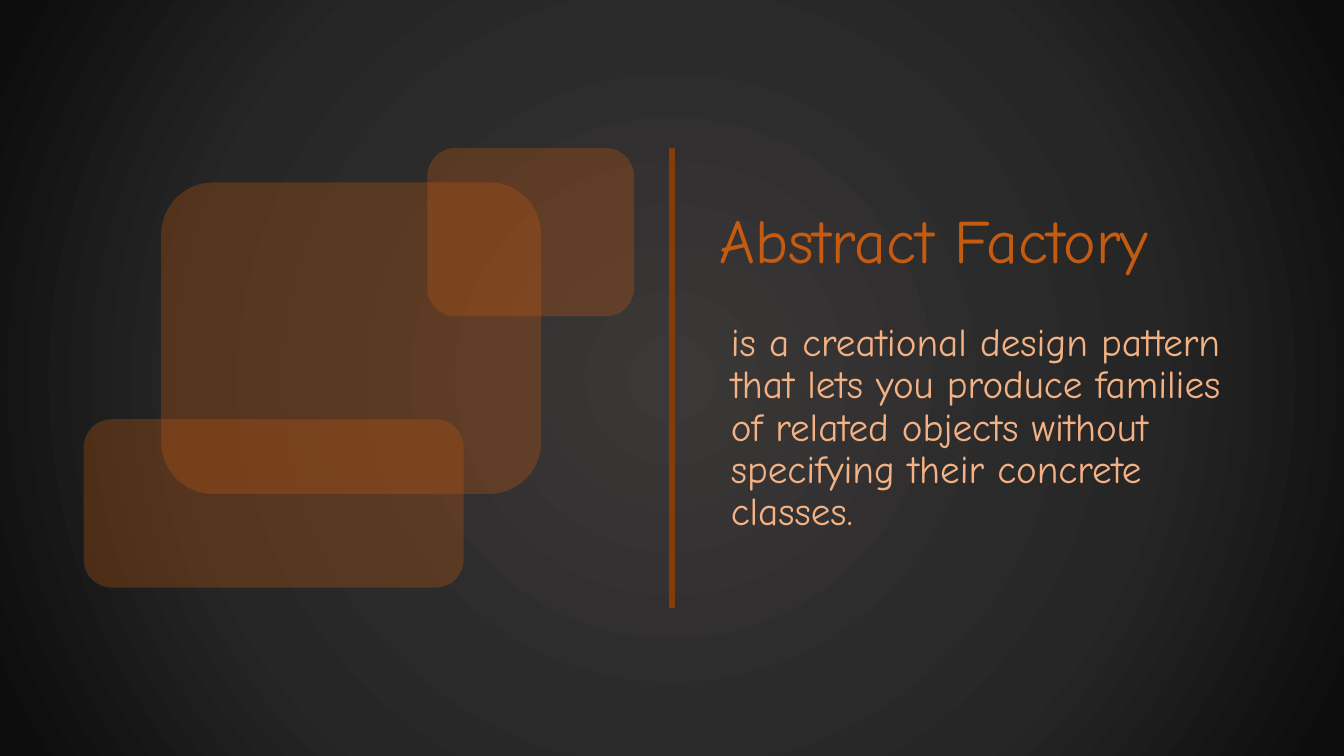
"""Build the Abstract Factory definition slide."""
from lxml.etree import SubElement
from pptx import Presentation
from pptx.dml.color import RGBColor
from pptx.enum.shapes import MSO_CONNECTOR as Connector, MSO_SHAPE as Shape
from pptx.enum.text import MSO_ANCHOR as Anchor, MSO_AUTO_SIZE as AutoSize, PP_ALIGN as Align
from pptx.oxml import parse_xml
from pptx.oxml.ns import nsdecls, qn
from pptx.util import Pt

COLORS = {
    "title": "C55A11",
    "body": "F4B183",
    "panel": "C55A11",
    "divider": "843C0B",
    "glow": "3B3838",
    "dark": "262626",
    "edge": "0D0D0D",
}
FONT = "Comic Neue"
SLIDE_SIZE = (960, 540)
TITLE = ("Abstract Factory", (506.9, 121.7, 386.6, 104.4), 44, "title", Anchor.MIDDLE)
BODY = (
    "is a creational design pattern that lets you produce families of related "
    "objects without specifying their concrete\u00a0classes.".replace("\u00a0", " "),
    (514.8, 226.8, 378, 216), 28, "body", Anchor.TOP,
)
PANELS = [
    (59.8, 299.5, 271.4, 120.2),
    (115.2, 130.3, 271.4, 222.5),
    (305.3, 105.8, 147.6, 120.2),
]
PANEL_OPACITY = 30
DIVIDER_TOP, DIVIDER_BOTTOM, DIVIDER_WIDTH = 105.8, 434.2, 4.5
BACKGROUND_STOPS = [(0, "glow"), (62, "dark"), (97, "edge"), (100, "edge")]


def color(name):
    return RGBColor.from_string(COLORS[name])


def paint_background(slide):
    fill = slide.background.fill
    fill.gradient()
    stops = "".join(
        f'<a:gs pos="{percent * 1000}"><a:srgbClr val="{COLORS[name]}"/></a:gs>'
        for percent, name in BACKGROUND_STOPS
    )
    gradient = parse_xml(
        f'<a:gradFill {nsdecls("a")} rotWithShape="1"><a:gsLst>{stops}</a:gsLst>'
        '<a:path path="circle"><a:fillToRect l="50000" t="50000" r="50000" b="50000"/>'
        "</a:path></a:gradFill>"
    )
    properties = slide.background._cSld.bg.bgPr
    properties.replace(properties.find(qn("a:gradFill")), gradient)


def fill_placeholder(box, text, place, size, color_name, anchor):
    box.left, box.top, box.width, box.height = map(Pt, place)
    frame = box.text_frame
    frame.text = text
    frame.word_wrap = True
    frame.auto_size = AutoSize.NONE
    frame.vertical_anchor = anchor
    para = frame.paragraphs[0]
    para.alignment = Align.LEFT
    para.line_spacing = 0.9
    para.space_before = Pt(0)
    properties = para._p.get_or_add_pPr()
    properties.set("marL", "0")
    properties.set("indent", "0")
    SubElement(properties, qn("a:buNone"))
    font = para.runs[0].font
    font.name = FONT
    font.size = Pt(size)
    font.color.rgb = color(color_name)


def add_panel(slide, place):
    panel = slide.shapes.add_shape(Shape.ROUNDED_RECTANGLE, *map(Pt, place))
    panel.shadow.inherit = False
    panel.fill.solid()
    panel.fill.fore_color.rgb = color("panel")
    panel.line.fill.background()
    tint = panel._element.spPr.find(qn("a:solidFill")).find(qn("a:srgbClr"))
    SubElement(tint, qn("a:alpha"), val=str(PANEL_OPACITY * 1000))


def add_divider(slide):
    middle = Pt(SLIDE_SIZE[0] / 2)
    divider = slide.shapes.add_connector(
        Connector.STRAIGHT, middle, Pt(DIVIDER_TOP), middle, Pt(DIVIDER_BOTTOM)
    )
    divider.line.color.rgb = color("divider")
    divider.line.width = Pt(DIVIDER_WIDTH)
    SubElement(divider._element.spPr, qn("a:effectLst"))


def main():
    deck = Presentation()
    deck.slide_width, deck.slide_height = map(Pt, SLIDE_SIZE)
    slide = deck.slides.add_slide(deck.slide_layouts[1])
    paint_background(slide)
    fill_placeholder(slide.shapes.title, *TITLE)
    fill_placeholder(slide.placeholders[1], *BODY)
    for place in PANELS:
        add_panel(slide, place)
    add_divider(slide)
    deck.save("out.pptx")


if __name__ == "__main__":
    main()
